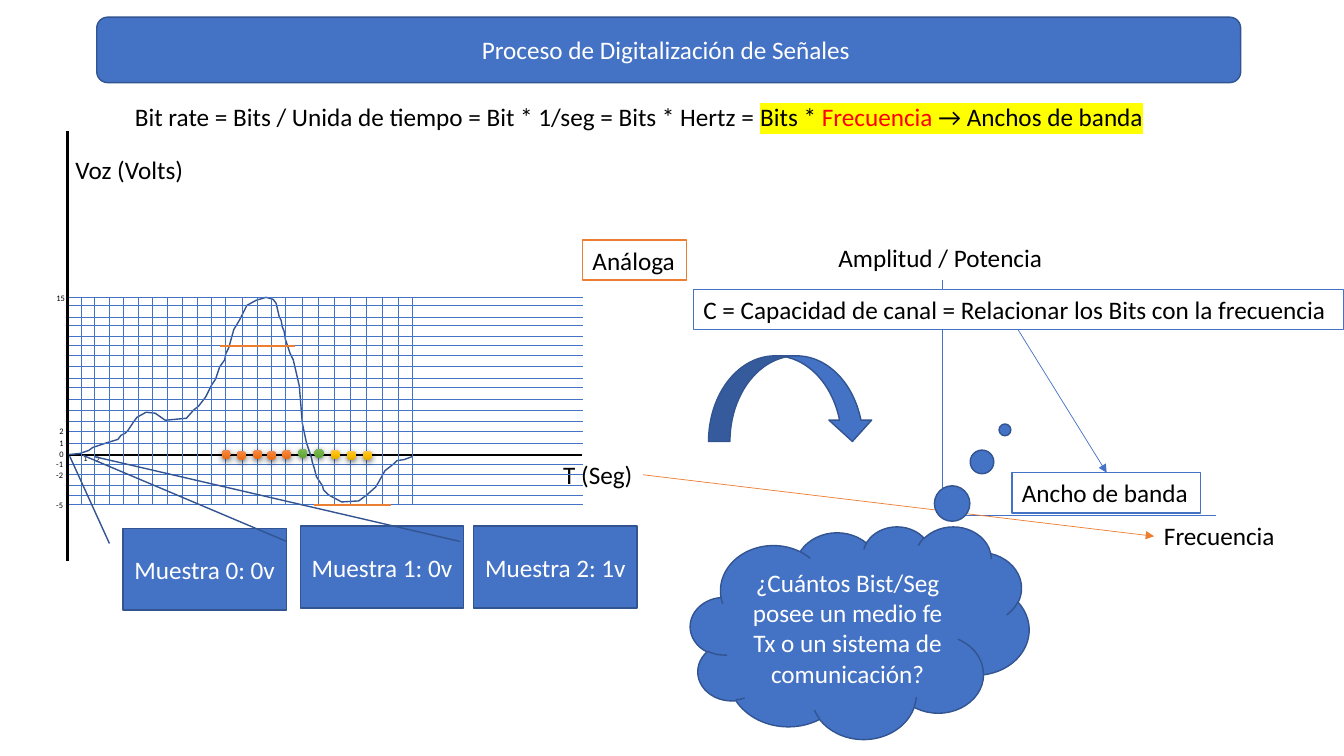
from pptx import Presentation
from pptx.dml.color import RGBColor
from pptx.enum.shapes import MSO_CONNECTOR, MSO_SHAPE
from pptx.enum.text import MSO_ANCHOR, MSO_AUTO_SIZE, PP_ALIGN
from pptx.oxml import parse_xml
from pptx.util import Cm, Pt

STRAIGHT = MSO_CONNECTOR.STRAIGHT
RECT, ROUND, OVAL = MSO_SHAPE.RECTANGLE, MSO_SHAPE.ROUNDED_RECTANGLE, MSO_SHAPE.OVAL
CALL, CLOUD = MSO_SHAPE.LINE_CALLOUT_1, MSO_SHAPE.CLOUD_CALLOUT
BEND = MSO_SHAPE.CURVED_DOWN_ARROW
MIDDLE, TOP = MSO_ANCHOR.MIDDLE, MSO_ANCHOR.TOP
CENTER, LEFT = PP_ALIGN.CENTER, PP_ALIGN.LEFT
GROW, FIXED = MSO_AUTO_SIZE.SHAPE_TO_FIT_TEXT, MSO_AUTO_SIZE.NONE
NS = 'xmlns:a="http://schemas.openxmlformats.org/drawingml/2006/main"'

BLUE, NAVY, ORANGE = "4472C4", "325491", "ED7D31"
BLACK, WHITE, RED, YELLOW = "000000", "FFFFFF", "FF0000", "FFFF00"
INCH = 2.54

RATE = [
    ("Bit rate = Bits / Unida de tiempo = Bit * 1/seg = Bits * Hertz = ", BLACK, None),
    ("Bits * ", BLACK, YELLOW),
    ("Frecuencia", RED, YELLOW),
    (" → Anchos de banda", BLACK, YELLOW),
]
TITLE = "Proceso de Digitalización de Señales "
AXES = [(0.67, 1.3, 0.67, 5.57), (0.67, 4.51, 5.77, 4.51)]
WAVE = [
    (0.68, 4.51), (0.79, 4.5), (0.88, 4.47), (0.92, 4.44), (1.07, 4.39), (1.17, 4.36),
    (1.2, 4.32), (1.24, 4.3), (1.27, 4.27), (1.33, 4.18), (1.36, 4.14), (1.45, 4.09),
    (1.54, 4.1), (1.64, 4.17), (1.85, 4.15), (1.92, 4.07), (1.97, 4.03), (2.04, 3.94),
    (2.1, 3.82), (2.14, 3.76), (2.18, 3.64), (2.23, 3.57), (2.24, 3.51), (2.27, 3.45),
    (2.32, 3.27), (2.38, 3.17), (2.45, 3.03), (2.54, 2.98), (2.64, 2.95), (2.71, 2.97),
    (2.74, 3.01), (2.77, 3.14), (2.79, 3.18), (2.8, 3.24), (2.82, 3.29), (2.83, 3.36),
    (2.86, 3.45), (2.88, 3.51), (2.91, 3.57), (2.94, 3.7), (2.97, 3.83), (3, 4.2),
    (3.04, 4.39), (3.06, 4.45), (3.09, 4.54), (3.1, 4.59), (3.12, 4.65), (3.14, 4.73),
    (3.2, 4.82), (3.21, 4.86), (3.26, 4.91), (3.39, 4.98), (3.56, 4.97), (3.64, 4.91),
    (3.73, 4.83), (3.77, 4.76), (3.82, 4.67), (3.91, 4.6), (3.94, 4.57), (4.01, 4.56),
    (4.09, 4.53),
]
NAMES = [("T (Seg)", 5.49, 4.51, 0.9), ("Voz (Volts)", 0.65, 1.48, 1.28)]
ROWS = [4.61, 4.71, 4.82, 4.91, 5, 4.4, 4.28, 4.18, 4.07, 3.96, 3.84, 3.75, 3.63,
        3.53, 3.43, 3.34, 3.23, 3.15, 3.03, 2.95]
COLS = [0.81, 0.94, 1.09, 1.22, 1.37, 1.51, 1.66, 1.81, 1.96, 2.1, 2.24, 2.4, 2.55,
        2.69, 2.83, 3, 3.16, 3.32, 3.48, 3.64, 3.79, 3.95, 4.09]
TICKS = [("-1", 0.46, 4.51, 0.27), ("0", 0.49, 4.41, 0.24), ("1", 0.49, 4.3, 0.24),
         ("2", 0.49, 4.18, 0.24), ("-2", 0.46, 4.61, 0.27), ("-5", 0.46, 4.91, 0.27),
         ("15", 0.46, 2.86, 0.29), ("1", 0.73, 4.45, 0.24), ("2", 0.85, 4.46, 0.24)]
SAMPLES = [("Muestra 0: 0v ", 1.22, 5.24, -0.881, -0.326),
           ("Muestra 1: 0v ", 2.98, 5.22, -0.87, -1.333),
           ("Muestra 2: 1v", 4.7, 5.22, -0.85, -2.319)]
DOTS = [
    (("F18C57", "F67B28", "E56C19"),
     [(2.2, 4.46), (2.35, 4.47), (2.51, 4.46), (2.65, 4.47), (2.8, 4.46)]),
    (("81B861", "6FB242", "62A336"), [(2.96, 4.45), (3.12, 4.45)]),
    (("FFC64B", "FFC000", "E3AB00"), [(3.28, 4.46), (3.44, 4.47), (3.6, 4.47)]),
]
PEAKS = [(2.18, 3.43, 2.93, 3.43), (3.12, 5.01, 3.88, 5.01)]
PLANE = [(9.35, 2.78, 9.35, 5.11), (9.35, 5.11, 12.06, 5.11)]
HEADS = [("Frecuencia", 11.45, 5.11, 1.31), ("Amplitud / Potencia", 8.22, 2.36, 2.25)]
ASK = "¿Cuántos Bist/Seg posee un medio fe Tx o un sistema de comunicación?"
CANAL = "C = Capacidad de canal = Relacionar los Bits con la frecuencia"

deck = Presentation()
deck.slide_width, deck.slide_height = Cm(33.87), Cm(19.05)
shapes = deck.slides.add_slide(deck.slide_layouts[6]).shapes


def cm(*spots):
    return [Cm(v * INCH) for v in spots]


def hue(code):
    return RGBColor.from_string(code)


def edge(item, tint, width):
    item.line.color.rgb = hue(tint)
    item.line.width = Pt(width)


def write(item, runs, size=18, label=True):
    frame = item.text_frame
    looks = {"word_wrap": not label, "auto_size": GROW if label else FIXED,
             "vertical_anchor": TOP if label else MIDDLE}
    for key, val in looks.items():
        setattr(frame, key, val)
    para = frame.paragraphs[0]
    para.alignment = LEFT if label else CENTER
    for text, tint, mark in runs:
        run = para.add_run()
        run.text = text
        for key, val in {"size": Pt(size), "name": "Calibri"}.items():
            setattr(run.font, key, val)
        run.font.color.rgb = hue(tint)
        if mark:
            glow = f'<a:highlight {NS}><a:srgbClr val="{mark}"/></a:highlight>'
            run.font.fill._xPr.solidFill.addnext(parse_xml(glow))


def label(text, x, y, wide, size=18, tall=0.4):
    write(shapes.add_textbox(*cm(x, y, wide, tall)), [(text, BLACK, None)], size)


def form(kind, box, fill=BLUE, line=NAVY, text="", bends=()):
    item = shapes.add_shape(kind, *cm(*box))
    item.shadow.inherit = False
    item.fill.solid()
    item.fill.fore_color.rgb = hue(fill)
    edge(item, line, 1)
    for at, bend in enumerate(bends):
        item.adjustments[at] = bend
    if text:
        plain = fill == WHITE
        write(item, [(text, BLACK if plain else WHITE, None)], label=plain)


def rule(ends, tint=BLUE, width=0.5, arrow=False):
    item = shapes.add_connector(STRAIGHT, *cm(*ends))
    edge(item, tint, width)
    if arrow:
        item.line._ln.append(parse_xml(f'<a:tailEnd {NS} type="triangle"/>'))
    item._element.spPr.append(parse_xml(f"<a:effectLst {NS}/>"))


def dot(x, y, tints):
    item = shapes.add_shape(OVAL, *cm(x, y, 0.09, 0.09))
    item.shadow.inherit = False
    stops = "".join(f'<a:gs pos="{at * 50000}"><a:srgbClr val="{tint}"/></a:gs>'
                    for at, tint in enumerate(tints))
    props = item._element.spPr
    props.insert(2, parse_xml(f'<a:gradFill {NS}><a:gsLst>{stops}</a:gsLst>'
                              '<a:lin ang="5400000" scaled="0"/></a:gradFill>'))
    item.line.fill.background()
    props[-1].append(parse_xml(
        f'<a:outerShdw {NS} blurRad="57150" dist="19050" dir="5400000" algn="ctr" rotWithShape="0">'
        f'<a:srgbClr val="{BLACK}"><a:alpha val="63000"/></a:srgbClr></a:outerShdw>'))


write(shapes.add_textbox(*cm(1.24, 0.96, 10.34, 0.4)), RATE)
form(ROUND, (0.96, 0.17, 11.35, 0.65), text=TITLE)
for ends in AXES:
    rule(ends, BLACK, 1.5)

pen = shapes.build_freeform(*cm(*WAVE[0]))
pen.add_line_segments([cm(*spot) for spot in WAVE[1:]], close=False)
wave = pen.convert_to_shape()
wave.shadow.inherit = False
wave.fill.background()
edge(wave, NAVY, 1)

for name in NAMES:
    label(*name)
form(RECT, (5.78, 2.38, 1.03, 0.4), WHITE, ORANGE, "Análoga")
for y in ROWS:
    rule((0.68, y, 5.78, y))
for x in COLS:
    rule((x, 2.95, x, 5.01))
for tick in TICKS:
    label(*tick, size=6, tall=0.2)
for text, x, y, down, side in SAMPLES:
    form(CALL, (x, y, 1.62, 0.81), text=text, bends=(0.188, -0.083, down, side))
for tints, spots in DOTS:
    for x, y in spots:
        dot(x, y, tints)
for ends in PEAKS:
    rule(ends, ORANGE, 1.5)

form(BEND, (7.03, 3.53, 1.64, 0.85))
for ends in PLANE:
    rule(ends)
for head in HEADS:
    label(*head)
rule((6.38, 4.71, 11.45, 5.32), ORANGE, arrow=True)
form(RECT, (10.04, 4.69, 1.87, 0.4), WHITE, BLUE, "Ancho de banda")
form(CLOUD, (6.85, 5.22, 3.36, 2.11), text=ASK, bends=(0.429, -0.953))
form(RECT, (6.88, 2.87, 6.45, 0.4), WHITE, BLUE, CANAL)
rule((10.1, 3.27, 10.98, 4.69), arrow=True)

deck.save("out.pptx")
